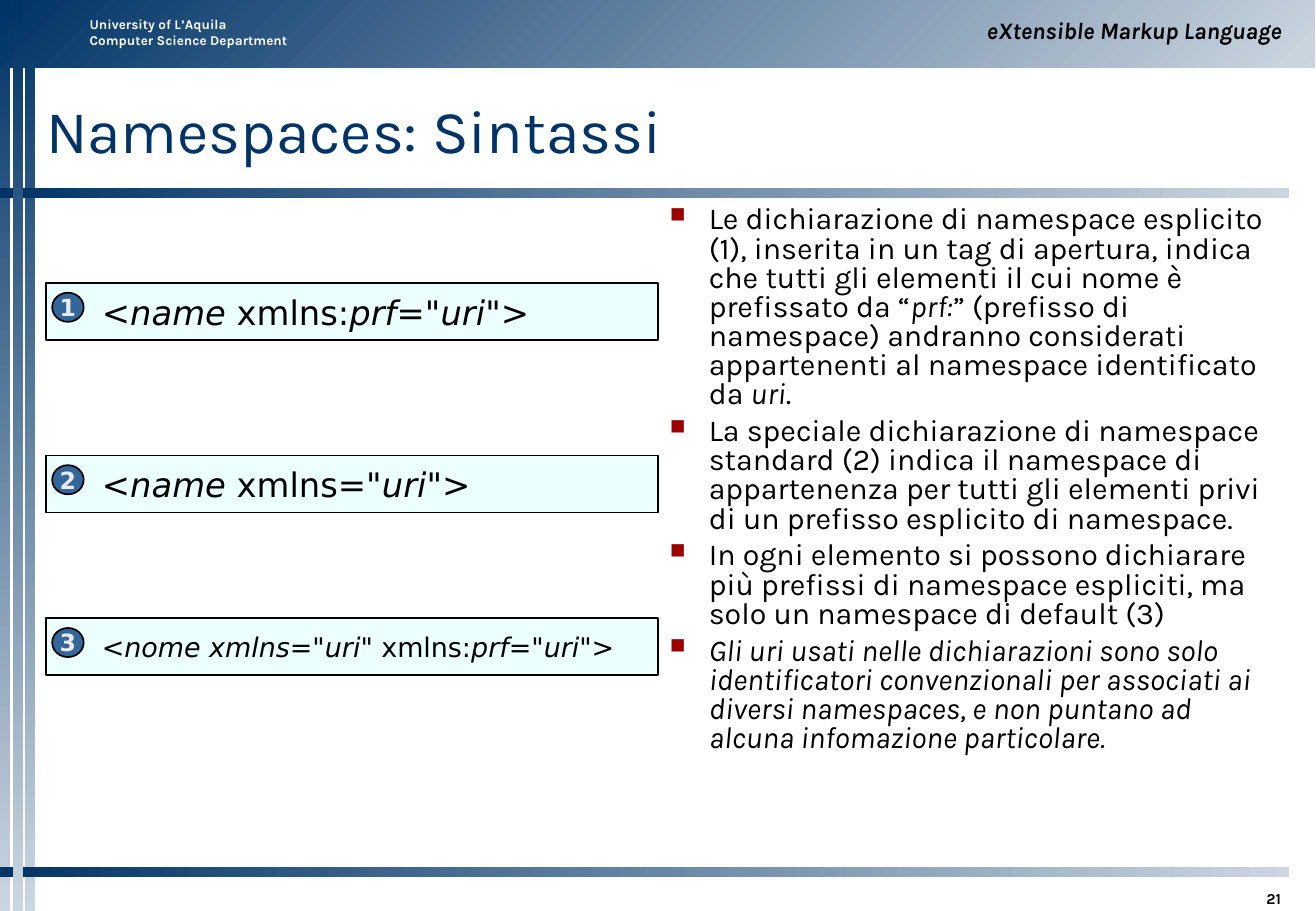
from lxml import etree
from pptx import Presentation
from pptx.dml.color import RGBColor
from pptx.enum.shapes import MSO_SHAPE
from pptx.enum.text import MSO_ANCHOR, MSO_AUTO_SIZE, PP_ALIGN
from pptx.oxml.ns import qn
from pptx.util import Emu, Pt

RECTANGLE, OVAL = MSO_SHAPE.RECTANGLE, MSO_SHAPE.OVAL
TOP, MIDDLE, BOTTOM = MSO_ANCHOR.TOP, MSO_ANCHOR.MIDDLE, MSO_ANCHOR.BOTTOM
LEFT, CENTER, RIGHT = PP_ALIGN.LEFT, PP_ALIGN.CENTER, PP_ALIGN.RIGHT
NO_RESIZE = MSO_AUTO_SIZE.NONE
TITLE_ONLY = 5

EMU_PER_PX = 9144
KARLA, CODE_FONT = "Karla", "DejaVu Sans"
NAVY, MIST, BLACK = "003366", "CCD6E0", "000000"

SIDE_BARS = [(0, 0, 8, 750), (21, 0, 8, 750)]
HEADER = (0, 0, 1083, 56)
RULES = [(0, 155, 1062, 8), (0, 714, 1062, 8)]
MIDDLE_BAR = (11, 0, 8, 750)

SYNTAX_BOXES = [
    ("1", 233, 20, '<_name_ xmlns:_prf_="_uri_">'),
    ("2", 375, 20, '<_name_ xmlns="_uri_">'),
    ("3", 509, 16, '<_nome xmlns_="_uri_" xmlns:_prf_="_uri_">'),
]

NOTES = [
    "Le dichiarazione di namespace esplicito (1), inserita in un tag di apertura, "
    "indica che tutti gli elementi il cui nome è prefissato da “_prf:_” (prefisso di "
    "namespace) andranno considerati appartenenti al namespace identificato da _uri_.",
    "La speciale dichiarazione di namespace standard (2) indica il namespace di "
    "appartenenza per tutti gli elementi privi di un prefisso esplicito di namespace.",
    "In ogni elemento si possono dichiarare più prefissi di namespace espliciti, "
    "ma solo un namespace di default (3)",
    "_Gli uri usati nelle dichiarazioni sono solo identificatori convenzionali per "
    "associati ai diversi namespaces, e non puntano ad alcuna infomazione particolare._",
]


def px(value):
    return Emu(value * EMU_PER_PX)


def color(value):
    return RGBColor.from_string(value)


def set_attributes(target, values):
    for name, value in values.items():
        setattr(target, name, value)


def format_frame(shape, margins, anchor, wrap=True):
    left, top, right, bottom = map(px, margins)
    set_attributes(shape.text_frame, {
        "auto_size": NO_RESIZE, "word_wrap": wrap, "vertical_anchor": anchor,
        "margin_left": left, "margin_top": top,
        "margin_right": right, "margin_bottom": bottom,
    })


def write_paragraph(paragraph, text, size, font=KARLA, fill=BLACK, bold=False, align=LEFT):
    paragraph.alignment = align
    for line_number, line in enumerate(text.split("\n")):
        if line_number:
            paragraph.add_line_break()
        for part_number, part in enumerate(line.split("_")):
            if not part:
                continue
            run = paragraph.add_run()
            run.text = part
            set_attributes(run.font, {
                "name": font, "size": Pt(size), "bold": bold,
                "italic": part_number % 2 == 1,
            })
            run.font.color.rgb = color(fill)


def add_gradient_bar(slide, box, angle):
    shape = slide.shapes.add_shape(RECTANGLE, *map(px, box))
    shape.shadow.inherit = False
    shape.line.fill.background()
    shape.fill.gradient()
    shape.fill.gradient_angle = angle
    for stop, value in zip(shape.fill.gradient_stops, (NAVY, MIST)):
        stop.color.rgb = color(value)


def add_outlined_shape(slide, kind, box, fill):
    shape = slide.shapes.add_shape(kind, *map(px, box))
    shape.shadow.inherit = False
    shape.fill.solid()
    shape.fill.fore_color.rgb = color(fill)
    shape.line.color.rgb = color(BLACK)
    shape.line.width = Pt(1)
    return shape


def add_label(slide, box, text, size, margins=(10, 5, 10, 5), anchor=TOP, **style):
    shape = slide.shapes.add_textbox(*map(px, box))
    format_frame(shape, margins, anchor)
    write_paragraph(shape.text_frame.paragraphs[0], text, size, **style)


def add_syntax_box(slide, number, top, size, code):
    box = add_outlined_shape(slide, RECTANGLE, (38, top, 504, 47), "EBFFFF")
    format_frame(box, (46, 4, 4, 4), MIDDLE)
    write_paragraph(box.text_frame.paragraphs[0], code, size, CODE_FONT)

    badge = add_outlined_shape(slide, OVAL, (43, top + 8, 26, 24), "336699")
    format_frame(badge, (0, 0, 0, 0), MIDDLE, wrap=False)
    write_paragraph(badge.text_frame.paragraphs[0], number, 14, CODE_FONT,
                    "EAEAEA", bold=True, align=CENTER)


def add_bullet(paragraph):
    properties = paragraph._p.get_or_add_pPr()
    properties.set("marL", str(px(32)))
    properties.set("indent", str(px(-32)))
    bullet_color = etree.SubElement(properties, qn("a:buClr"))
    etree.SubElement(bullet_color, qn("a:srgbClr"), val="9A0000")
    etree.SubElement(properties, qn("a:buSzPct"), val="70000")
    etree.SubElement(properties, qn("a:buChar"), char="■")


def add_notes(slide):
    shape = slide.shapes.add_textbox(*map(px, (542, 170, 521, 542)))
    format_frame(shape, (10, 0, 10, 0), TOP)
    frame = shape.text_frame
    for index, note in enumerate(NOTES):
        paragraph = frame.add_paragraph() if index else frame.paragraphs[0]
        set_attributes(paragraph, {"line_spacing": 0.8, "space_before": Pt(4.5)})
        add_bullet(paragraph)
        write_paragraph(paragraph, note, 18)


def set_title(slide, text):
    title = slide.shapes.title
    box = map(px, (38, 58, 1027, 96))
    set_attributes(title, dict(zip(("left", "top", "width", "height"), box)))
    format_frame(title, (0, 0, 0, 0), MIDDLE)
    write_paragraph(title.text_frame.paragraphs[0], text, 36, fill=NAVY)


def main():
    presentation = Presentation()
    set_attributes(presentation, {"slide_width": px(1084), "slide_height": px(750)})
    slide = presentation.slides.add_slide(presentation.slide_layouts[TITLE_ONLY])

    for bar in SIDE_BARS:
        add_gradient_bar(slide, bar, 270)
    add_gradient_bar(slide, HEADER, 315)
    for rule in RULES:
        add_gradient_bar(slide, rule, 0)
    add_gradient_bar(slide, MIDDLE_BAR, 270)

    add_label(slide, (64, 8, 201, 37),
              "University of L’Aquila\nComputer Science Department", 8,
              fill="FFFFFF", bold=True)
    add_label(slide, (542, 8, 524, 33), "_eXtensible Markup Language_", 14,
              anchor=BOTTOM, bold=True, align=RIGHT)
    add_label(slide, (947, 722, 118, 25), "21", 9, margins=(10, 5, 10, 0),
              anchor=BOTTOM, bold=True, align=RIGHT)

    set_title(slide, "Namespaces: Sintassi")
    add_notes(slide)
    for syntax_box in SYNTAX_BOXES:
        add_syntax_box(slide, *syntax_box)

    presentation.save("out.pptx")


if __name__ == "__main__":
    main()
